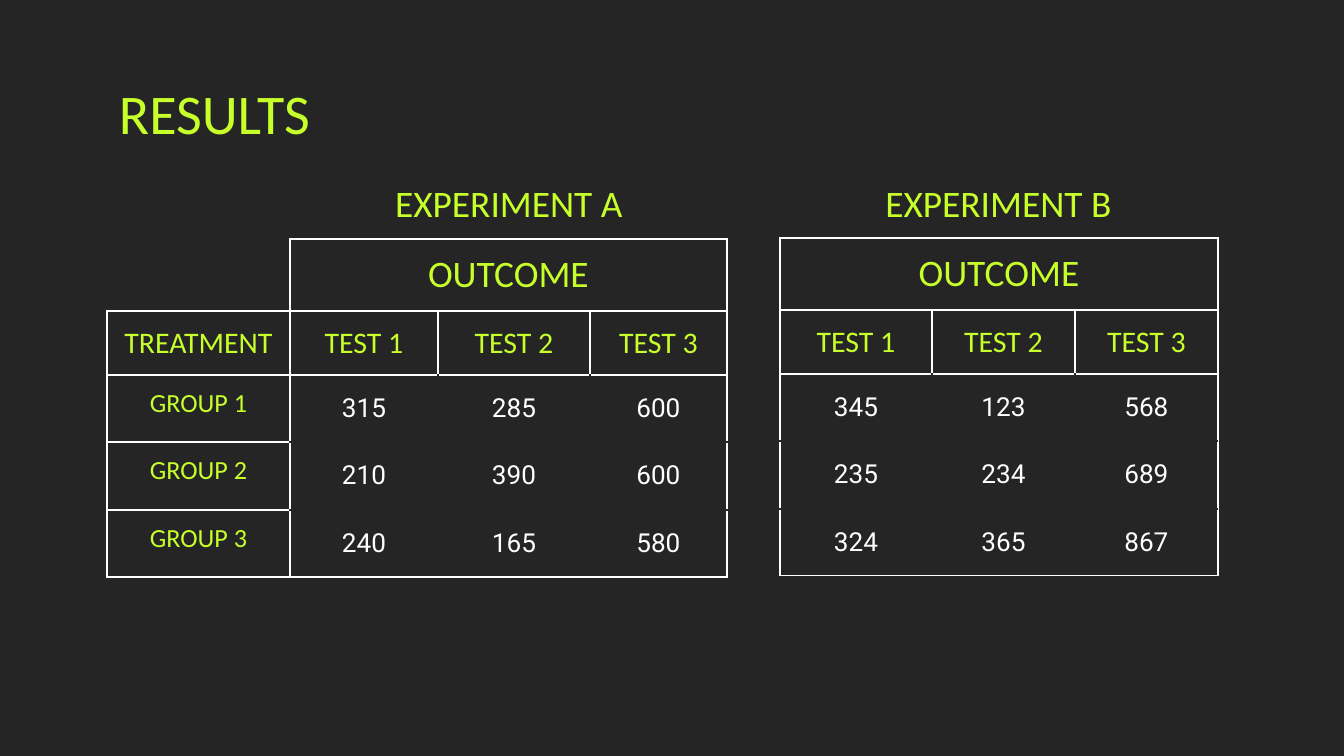
from lxml import etree
from pptx import Presentation
from pptx.dml.color import RGBColor
from pptx.enum import text
from pptx.oxml import ns
from pptx.util import Pt

PX = 914400 / 134.4
DARK = RGBColor(0x25, 0x25, 0x25)
LIME = RGBColor(0xC7, 0xFF, 0x2B)
WHITE = RGBColor(0xFF, 0xFF, 0xFF)
CENTER = text.PP_ALIGN.CENTER
TOP, MIDDLE, BOTTOM = (text.MSO_ANCHOR.TOP, text.MSO_ANCHOR.MIDDLE,
                       text.MSO_ANCHOR.BOTTOM)


def emu(px):
    return round(px * PX)


class ResultsSlide:
    """Holds the style and the slide being drawn."""
    heading_font, number_font = "Calibri", "Roboto"
    inset = 13
    border_width = Pt(0.75)
    row_heights = (72, 64, 67, 68, 67)

    def __init__(self, slide):
        self.slide = slide
        slide.background.fill.solid()
        slide.background.fill.fore_color.rgb = DARK

    def add_words(self, paragraph, wording, size, align=CENTER,
                  font=heading_font, color=LIME):
        paragraph.alignment = align
        run = paragraph.add_run()
        run.text = wording
        for name, value in {"size": Pt(size), "name": font}.items():
            setattr(run.font, name, value)
        run.font.color.rgb = color

    def set_margins(self, holder):
        for side in ("left", "top", "right", "bottom"):
            setattr(holder, f"margin_{side}", emu(self.inset))

    def heading(self, wording, box, size, align=CENTER, anchor=BOTTOM):
        frame = self.slide.shapes.add_textbox(*map(emu, box)).text_frame
        frame.word_wrap = True
        frame.vertical_anchor = anchor
        self.set_margins(frame)
        self.add_words(frame.paragraphs[0], wording, size, align)

    def borders(self, cell, colors):
        properties = cell._tc.get_or_add_tcPr()
        for side in "LRTB":
            line = etree.SubElement(properties, ns.qn(f"a:ln{side}"),
                                    w=str(self.border_width))
            if colors[side] is None:
                etree.SubElement(line, ns.qn("a:noFill"))
            else:
                fill = etree.SubElement(line, ns.qn("a:solidFill"))
                etree.SubElement(fill, ns.qn("a:srgbClr"), val=str(colors[side]))

    def results_table(self, left, top, widths, rows, label_columns=0):
        """Two header rows, optional label columns, then numbers."""
        size = len(rows), len(widths)
        table = self.slide.shapes.add_table(
            *size, emu(left), emu(top), emu(sum(widths)),
            emu(sum(self.row_heights))).table
        table.first_row = table.horz_banding = False
        for column, width in zip(table.columns, widths):
            column.width = emu(width)
        for row, height in zip(table.rows, self.row_heights):
            row.height = emu(height)

        last_row, last_column = size[0] - 1, size[1] - 1
        for r, row in enumerate(rows):
            for c, wording in enumerate(row):
                cell = table.cell(r, c)
                is_label = r > 1 and c < label_columns
                is_number = r > 1 and not is_label
                self.set_margins(cell)
                cell.vertical_anchor = TOP if is_label else MIDDLE

                # White outline everywhere; number cells hide inner lines
                colors = dict.fromkeys("LRTB", WHITE)
                if is_number:
                    outer = {"L": c == label_columns, "R": c == last_column,
                             "T": r == 2, "B": r == last_row}
                    colors = {side: WHITE if edge else DARK
                              for side, edge in outer.items()}
                elif r == 0 and c < label_columns:
                    colors.update(L=None, T=None)
                self.borders(cell, colors)
                cell.fill.background()

                if wording:
                    style = ({"font": self.number_font, "color": WHITE}
                             if is_number else {})
                    self.add_words(cell.text_frame.paragraphs[0], wording,
                                   (20, 16, 14)[min(r, 2)], **style)
        table.cell(0, label_columns).merge(table.cell(0, last_column))


def main():
    deck = Presentation()
    deck.slide_width, deck.slide_height = emu(1344), emu(756)
    results = ResultsSlide(deck.slides.add_slide(deck.slide_layouts[6]))
    tests = ["TEST 1", "TEST 2", "TEST 3"]
    outcome = ["OUTCOME", "", ""]

    # Title
    results.heading("RESULTS", (106, 66, 1133, 85), 30,
                    text.PP_ALIGN.LEFT, TOP)

    # Experiment A
    results.results_table(107, 239, (183, 148, 152, 137), [
        ["", *outcome],
        ["TREATMENT", *tests],
        ["GROUP 1", "315", "285", "600"],
        ["GROUP 2", "210", "390", "600"],
        ["GROUP 3", "240", "165", "580"],
    ], label_columns=1)
    results.heading("EXPERIMENT A", (300, 141, 418, 97), 20)

    # Experiment B
    results.heading("EXPERIMENT B", (792, 141, 413, 97), 20)
    results.results_table(780, 238, (152, 143, 143), [
        outcome,
        tests,
        ["345", "123", "568"],
        ["235", "234", "689"],
        ["324", "365", "867"],
    ])
    deck.save("out.pptx")


if __name__ == "__main__":
    main()
